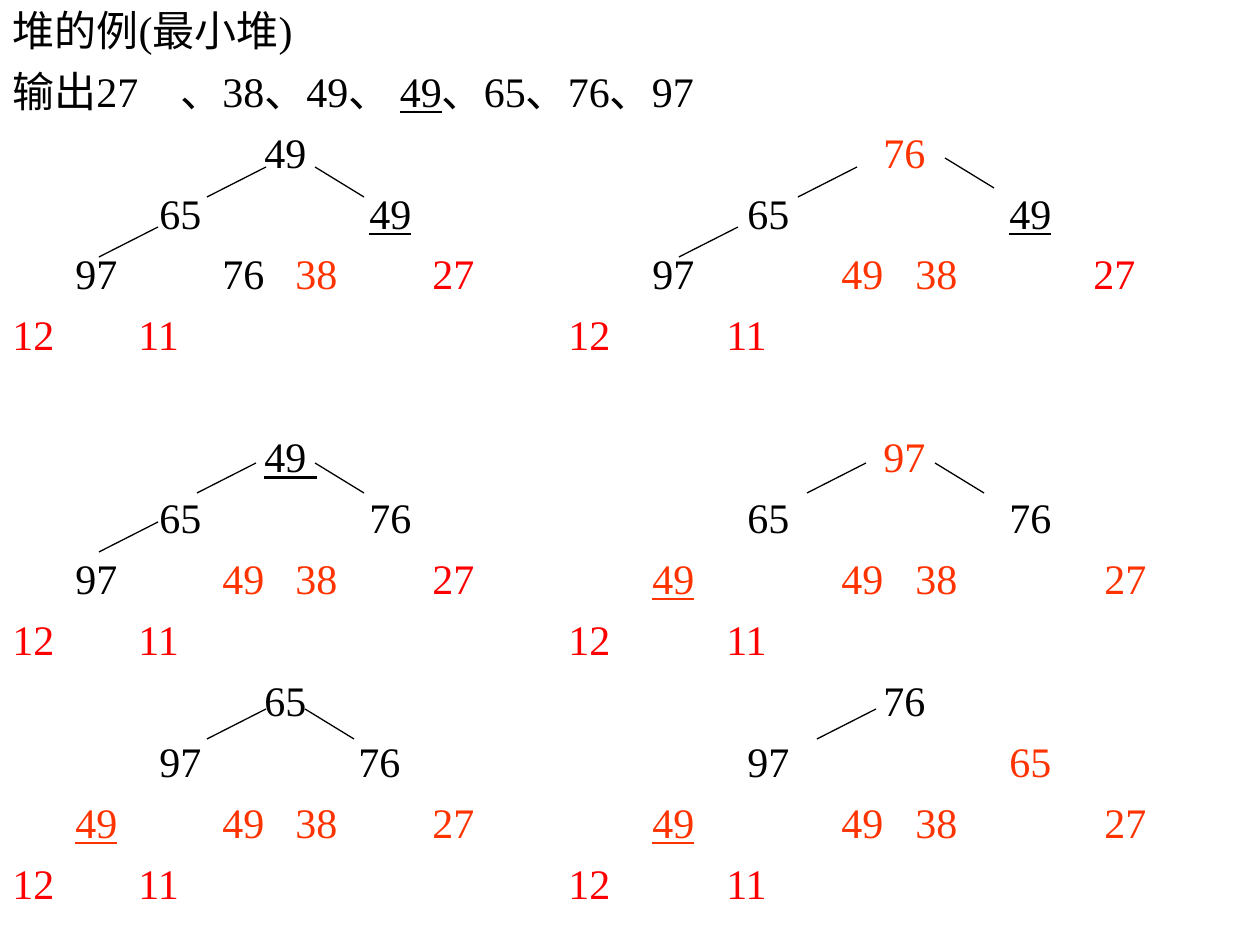
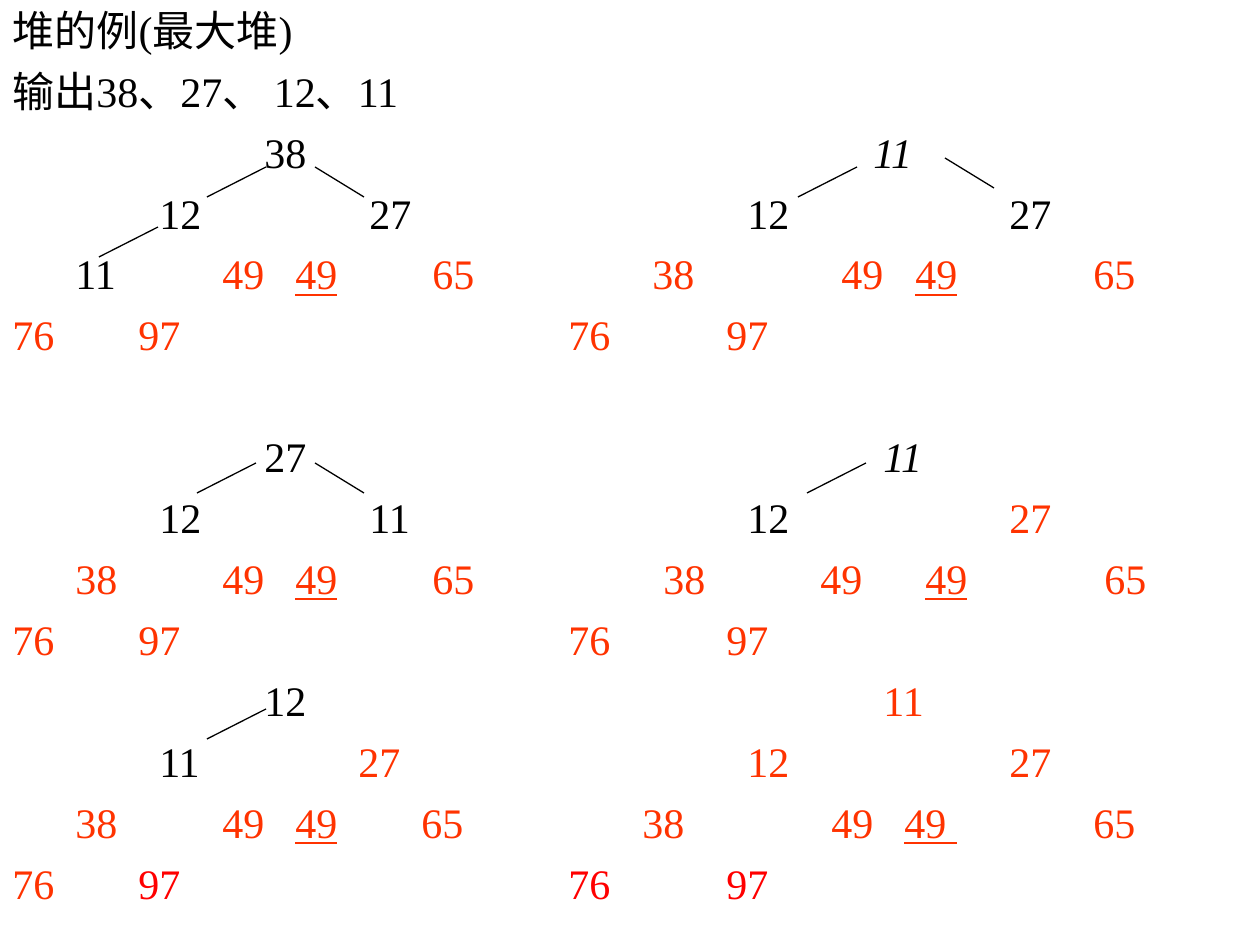
"""Builds two slides that show heap output step by step, for a min heap and a max heap."""
from pptx import Presentation
from pptx.dml.color import RGBColor
from pptx.enum.shapes import MSO_CONNECTOR as Link
from pptx.enum.text import MSO_ANCHOR as Anchor, MSO_AUTO_SIZE as Fit, PP_ALIGN as Align
from pptx.oxml.ns import qn
from pptx.util import Emu, Pt
from lxml.etree import SubElement as Sub

FONT = "Times New Roman"
BLACK, ORANGE, RED = "000000", "FF3300", "FF0000"
HEAD = (0, 16, 0, 0)
ROOT = (24, 83)
KIDS = (14, 34, 70, 95)
LEAF = (6, 20, 27, 40, 61, 79, 86, 104)
LAST = (0, 12, 53, 68)
GRID = [HEAD] + [ROOT, KIDS, LEAF, LAST] * 3
BREAK = 5

MIN_ROWS = [
    "输出27 、38、49、_ 49u 、65、76、97",
    "49 76o",
    "65 49u 65 49u",
    "97 76 38o 27d 97 49o 38o 27d@103",
    "12d 11d 12d 11d",
    "49_u 97o",
    "65 76 65 76",
    "97 49o 38o 27d 49uo 49o 38o 27o",
    "12d 11d 12d 11d",
    "65 76",
    "97 76@33 97 65o",
    "49uo 49o 38o 27o 49uo 49o 38o 27o",
    "12d 11d 12d 11d",
]
MAX_ROWS = [
    "输出38、27、_12、11",
    "38 11i@82",
    "12 27 12 27",
    "11 49o 49uo 65o 38o 49o 49uo 65o@103",
    "76o 97o 76o 97o",
    "27 11i",
    "12 11 12 27o",
    "38o 49o 49uo 65o 38o@62 49o@77 49uo@87 65o",
    "76o 97o 76o 97o",
    "12 11o",
    "11 27o@33 12o 27o",
    "38o 49o 49uo 65o@39 38o@60 49o@78 49_uo@85 65o@103",
    "76o 97d 76d 97d",
]

LEFT = [(266, 167), (158, 227), (256, 463), (857, 167), (866, 463), (266, 709)]
RIGHT = [(315, 167), (315, 463), (945, 158)]
MIN_LEFT = LEFT + [(158, 522), (738, 227), (876, 709)]
MIN_RIGHT = RIGHT + [(935, 463), (305, 709)]


def px(n):
    return Emu(n * 914400 // 126)


def tint(code):
    return RGBColor.from_string(code)


class Deck:
    def __init__(self):
        self.prs = Presentation()
        self.prs.slide_width, self.prs.slide_height = px(1260), px(945)
        self.slide = None

    def page(self):
        self.slide = self.prs.slides.add_slide(self.prs.slide_layouts[5])

    def setup(self, shape, anchor):
        frame = shape.text_frame
        frame.word_wrap = True
        frame.auto_size = Fit.NONE
        frame.vertical_anchor = anchor
        return frame

    def style(self, run, marks=""):
        font = run.font
        font.name, font.size = FONT, Pt(24)
        font.underline = "u" in marks
        font.italic = "i" in marks
        code = ORANGE if "o" in marks else RED if "d" in marks else BLACK
        font.color.rgb = tint(code)

    def title(self, text):
        shape = self.slide.shapes.title
        shape.left, shape.top, shape.width, shape.height = map(px, (0, 0, 1071, 59))
        frame = self.setup(shape, Anchor.MIDDLE)
        frame.text = text
        para = frame.paragraphs[0]
        para.alignment = Align.LEFT
        self.style(para.runs[0])

    def body(self, rows):
        box = self.slide.shapes.add_textbox(*map(px, (0, 59, 1221, 886)))
        frame = self.setup(box, Anchor.TOP)
        for n, (row, cols) in enumerate(zip(rows, GRID)):
            para = frame.add_paragraph() if n else frame.paragraphs[0]
            para.space_before = Pt(40.8 if n == BREAK else 6)
            self.row(para, row.split(), cols)

    def row(self, para, items, cols):
        tabs = Sub(para._p.get_or_add_pPr(), qn("a:tabLst"))
        for item, col in zip(items, cols):
            word, _, spot = item.partition("@")
            text = word.rstrip("uiod")
            col = int(spot or col)
            if col:
                Sub(tabs, qn("a:tab"), pos=str(px(col * 21 // 2)), algn="l")
                self.add(para, "\t")
            self.add(para, text.replace("_", " "), word[len(text):])

    def add(self, para, text, marks=""):
        run = para.add_run()
        run.text = text
        self.style(run, marks)

    def edge(self, start, dx):
        x, y = start
        ends = map(px, (x, y, x + dx, y + 30))
        line = self.slide.shapes.add_connector(Link.STRAIGHT, *ends)
        line.line.color.rgb = tint(BLACK)
        line.line.width = Pt(0.75)
        Sub(line._element.spPr, qn("a:effectLst"))

    def heap(self, title, rows, left, right):
        self.page()
        self.title(title)
        self.body(rows)
        for dx, starts in ((-59, left), (49, right)):
            for start in starts:
                self.edge(start, dx)


def main():
    deck = Deck()
    deck.heap("堆的例(最小堆)", MIN_ROWS, MIN_LEFT, MIN_RIGHT)
    deck.heap("堆的例(最大堆)", MAX_ROWS, LEFT, RIGHT)
    deck.prs.save("out.pptx")


if __name__ == "__main__":
    main()
